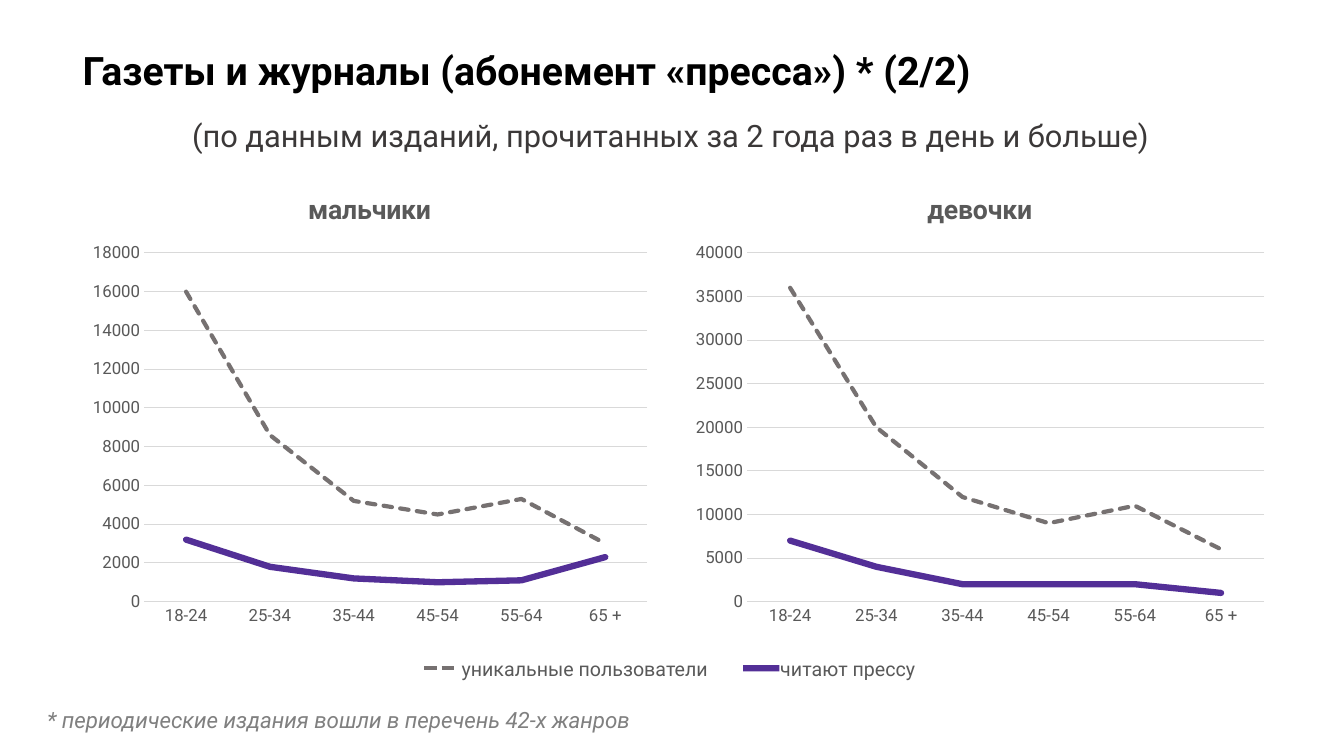
from lxml.etree import SubElement
from pptx import Presentation
from pptx.chart.data import CategoryChartData
from pptx.dml.color import RGBColor
from pptx.enum.chart import XL_CHART_TYPE, XL_MARKER_STYLE, XL_TICK_MARK
from pptx.enum.dml import MSO_LINE
from pptx.enum.shapes import MSO_CONNECTOR
from pptx.enum.text import MSO_ANCHOR, PP_ALIGN
from pptx.oxml import parse_xml
from pptx.oxml.ns import nsdecls, qn
from pptx.util import Inches, Pt

COLORS = {"title": "000000", "subtitle": "3B3838", "text": "595959", "note": "808080",
          "grid": "D9D9D9", "readers": "370D86", "users": "767171"}
READERS, USERS = "читают прессу", "уникальные пользователи"
AGES = ["18-24", "25-34", "35-44", "45-54", "55-64", "65 +"]
CHART_TOP, CHART_HEIGHT = 1.71, 4.59


def format_font(font, color, **values):
    font.name = "Roboto"
    font.color.rgb = RGBColor.from_string(COLORS[color])
    for name, value in values.items():
        setattr(font, name, value)


def format_line(line, color, width):
    line.color.rgb = RGBColor.from_string(COLORS[color])
    line.width = Pt(width)
    if color == "readers":
        srgb = line.fill._xPr.find(".//" + qn("a:srgbClr"))
        SubElement(srgb, qn("a:alpha")).set("val", "85000")


prs = Presentation()
prs.slide_width, prs.slide_height = Inches(13.33), Inches(7.5)
s = prs.slides.add_slide(prs.slide_layouts[5])

texts = [
    ("Газеты и журналы (абонемент «пресса») * (2/2)", (0.72, 0.41, 9.41, 0.57),
     "title", PP_ALIGN.LEFT, {"size": Pt(28), "bold": True}),
    ("(по данным изданий, прочитанных за 2 года раз в день и больше)", (1.49, 1.11, 10.32, 0.47),
     "subtitle", PP_ALIGN.CENTER, {"size": Pt(22)}),
    ("* периодические издания вошли в перечень 42-х жанров", (0.37, 6.95, 8.5, 0.37),
     "note", PP_ALIGN.LEFT, {"size": Pt(16), "italic": True}),
    (USERS, (4.48, 6.46, 2.8, 0.34), "text", PP_ALIGN.LEFT, {"size": Pt(14)}),
    (READERS, (7.64, 6.46, 1.85, 0.34), "text", PP_ALIGN.LEFT, {"size": Pt(14)}),
]
for text, box, color, align, values in texts:
    place = [Inches(v) for v in box]
    if color == "title":
        sp = s.shapes.title
        sp.left, sp.top, sp.width, sp.height = place
    else:
        sp = s.shapes.add_textbox(*place)
    tf = sp.text_frame
    tf.word_wrap = True
    tf.vertical_anchor = MSO_ANCHOR.MIDDLE
    p = tf.paragraphs[0]
    p.alignment, p.line_spacing = align, 1.0
    r = p.add_run()
    r.text = text
    format_font(r.font, color, **values)

charts = [
    ("мальчики", 0.81, 5.73, 3.01, 1.43, 4.99, 18000, 2000,
     [3200, 1800, 1200, 1000, 1100, 2300], [16000, 8600, 5200, 4500, 5300, 3000]),
    ("девочки", 6.78, 5.88, 9.15, 7.41, 5.13, 40000, 5000,
     [7000, 4000, 2000, 2000, 2000, 1000], [36000, 20000, 12000, 9000, 11000, 6000]),
]
for title, left, width, title_left, plot_left, plot_width, top_value, step, readers, users in charts:
    data = CategoryChartData(number_format="General")
    data.categories = AGES
    data.add_series(READERS, readers)
    data.add_series(USERS, users)
    chart = s.shapes.add_chart(XL_CHART_TYPE.LINE, Inches(left), Inches(CHART_TOP),
                               Inches(width), Inches(CHART_HEIGHT), data).chart
    chart.has_legend = False
    chart.has_title = True
    chart.chart_title.include_in_layout = False
    p = chart.chart_title.text_frame.paragraphs[0]
    r = p.add_run()
    r.text = title
    format_font(r.font, "text", size=Pt(19), bold=True)

    value_axis, category_axis = chart.value_axis, chart.category_axis
    for axis in (value_axis, category_axis):
        axis.major_tick_mark = axis.minor_tick_mark = XL_TICK_MARK.NONE
        format_font(axis.tick_labels.font, "text", size=Pt(12))
    value_axis.minimum_scale, value_axis.maximum_scale = 0, top_value
    value_axis.major_unit = step
    value_axis.format.line.fill.background()
    format_line(value_axis.major_gridlines.format.line, "grid", 0.75)
    format_line(category_axis.format.line, "grid", 0.75)

    plot = chart.plots[0]
    plot.vary_by_categories = False
    for series, color, weight in zip(plot.series, ("readers", "users"), (4.5, 3)):
        series.smooth = False
        series.marker.style = XL_MARKER_STYLE.NONE
        format_line(series.format.line, color, weight)
        series.format.line.fill._xPr.set("cap", "rnd")
    plot.series[1].format.line.dash_style = MSO_LINE.SQUARE_DOT

    root = chart._chartSpace.chart
    layouts = [
        ("c:title", 1, {"x": (title_left - left) / width, "y": (1.86 - CHART_TOP) / CHART_HEIGHT}),
        ("c:plotArea", 0, {"x": (plot_left - left) / width, "y": (2.51 - CHART_TOP) / CHART_HEIGHT,
                           "w": plot_width / width, "h": 3.46 / CHART_HEIGHT}),
    ]
    for tag, index, values in layouts:
        parent = root.find(qn(tag))
        for old in parent.findall(qn("c:layout")):
            parent.remove(old)
        target = '<c:layoutTarget val="inner"/>' if tag == "c:plotArea" else ""
        modes = '<c:xMode val="edge"/><c:yMode val="edge"/>'
        sizes = "".join(f'<c:{k} val="{v:.4f}"/>' for k, v in values.items())
        parent.insert(index, parse_xml(
            f'<c:layout {nsdecls("c")}><c:manualLayout>{target}{modes}{sizes}'
            "</c:manualLayout></c:layout>"))

for x1, x2, color, weight in [(4.21, 4.33, "users", 3), (4.38, 4.5, "users", 3),
                              (7.37, 7.73, "readers", 4.5)]:
    key = s.shapes.add_connector(MSO_CONNECTOR.STRAIGHT, Inches(x1), Inches(6.63),
                                 Inches(x2), Inches(6.63))
    format_line(key.line, color, weight)
    SubElement(key._element.spPr, qn("a:effectLst"))

prs.save("out.pptx")
